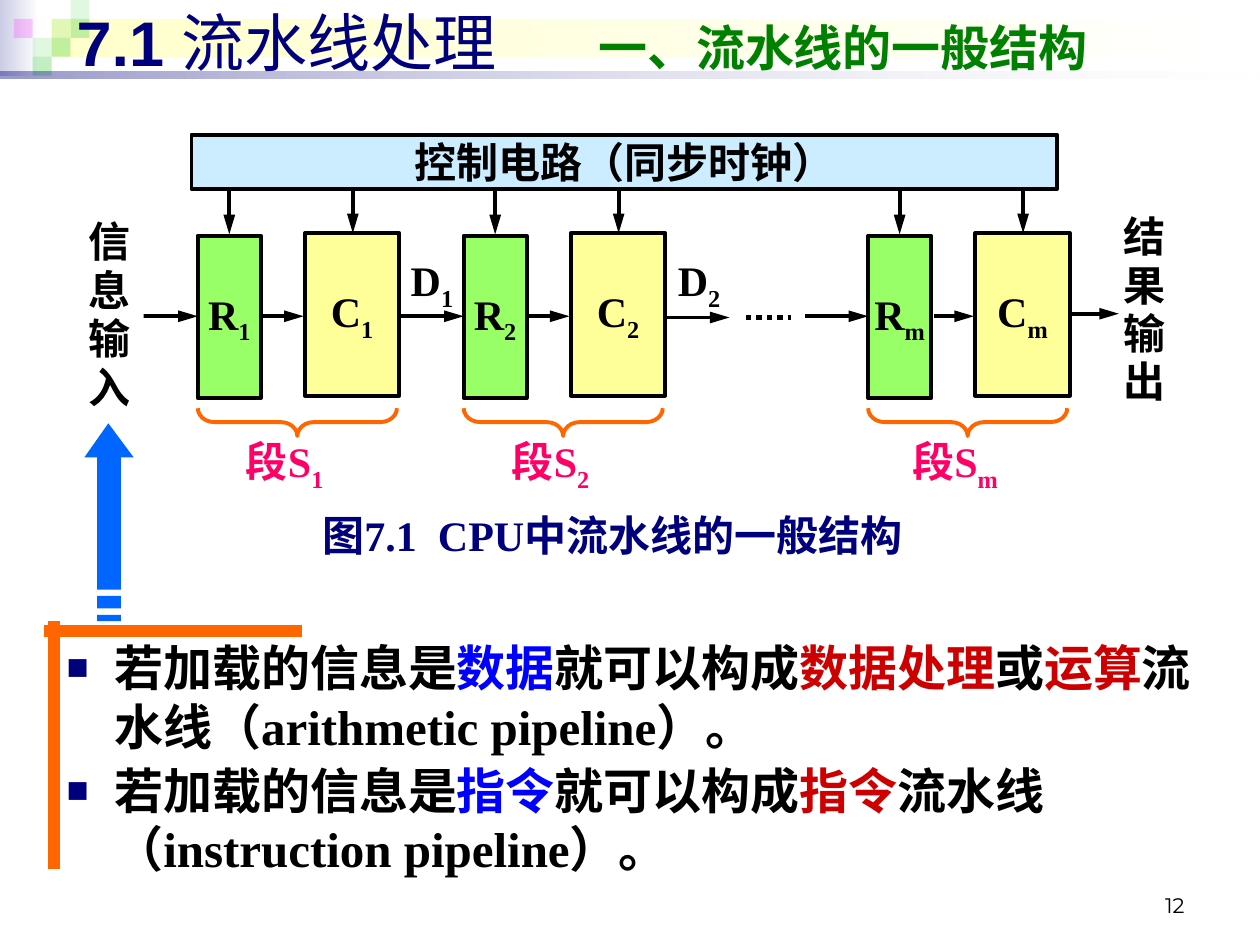
from lxml import etree
from pptx import Presentation
from pptx import util as u
from pptx.dml.color import RGBColor
from pptx.enum import dml, shapes, text
from pptx.oxml.ns import qn

WIDTH, HEIGHT = u.Inches(10), u.Inches(7.5)
COLUMNS, ROWS = 100, 75  # square grid cells

COLORS = {
    "black": "000000", "white": "FFFFFF", "navy": "00007D", "blue": "0000FF",
    "red": "CC0000", "pink": "FF0066", "orange": "FF6600", "topic": "008000",
    "register": "99FF66", "logic": "FFFF99", "control": "CCECFF",
    "arrow": "0066FF", "lilac": "CCCCE6", "cream": "FFFFCC",
    "leaf": "33CC33", "magenta": "FF00FF",
}
SERIF = "Times New Roman"
BOXED = dict.fromkeys(
    ("margin_left", "margin_top", "margin_right", "margin_bottom"), 0)
CENTER, JUSTIFY = text.PP_ALIGN.CENTER, text.PP_ALIGN.JUSTIFY
MIDDLE, TOP = text.MSO_ANCHOR.MIDDLE, text.MSO_ANCHOR.TOP


def col(count):
    return round(WIDTH * count / COLUMNS)


def row(count):
    return round(HEIGHT * count / ROWS)


def place(x, y, width, height):
    return col(x), row(y), col(width), row(height)


def color(name):
    return RGBColor.from_string(COLORS[name])


def apply(target, values):
    for name, value in values.items():
        setattr(target, name, value)


def add_xml(parent, tag, **attributes):
    return etree.SubElement(parent, qn(tag), attributes)


def set_alpha(shape, *percents):
    """Set the opacity of each colour of a shape's fill, in order."""
    nodes = shape._element.spPr.iter(qn("a:srgbClr"))
    for node, percent in zip(list(nodes), percents):
        add_xml(node, "a:alpha", val=str(percent * 1000))


def add_runs(paragraph, runs, size, font=SERIF, bold=True):
    """Each run is (text, colour) plus an optional dict of font values."""
    for words, name, *extra in runs:
        run = paragraph.add_run()
        run.text = words
        run.font.color.rgb = color(name)
        values = {"size": u.Pt(size), "name": font, "bold": bold}
        apply(run.font, {**values, **(extra[0] if extra else {})})


def add_shape(slide, box, fill=None, line=None,
              kind=shapes.MSO_SHAPE.RECTANGLE):
    shape = slide.shapes.add_shape(kind, *place(*box))
    shape.shadow.inherit = False
    if fill:
        shape.fill.solid()
        shape.fill.fore_color.rgb = color(fill)
    else:
        shape.fill.background()
    if line:
        shape.line.color.rgb = color(line)
        shape.line.width = u.Pt(2.25)
    else:
        shape.line.fill.background()
    return shape


def add_panel(slide, box, words, index="", name="black", fill="white", line=None,
              align=CENTER, anchor=TOP, wrap=True, spacing=1.0):
    """Box with a label and an optional subscript index."""
    frame = add_shape(slide, box, fill, line).text_frame
    apply(frame, {**BOXED, "word_wrap": wrap, "vertical_anchor": anchor})
    paragraph = frame.paragraphs[0]
    apply(paragraph, {"alignment": align, "line_spacing": spacing})
    add_runs(paragraph, [(words, name)], 24)
    if index:
        add_runs(paragraph, [(index, name)], 24)
        paragraph.runs[-1]._r.get_or_add_rPr().set("baseline", "-25000")


def add_text_box(slide, box, anchor):
    frame = slide.shapes.add_textbox(*place(*box)).text_frame
    apply(frame, {"word_wrap": True, "vertical_anchor": anchor})
    return frame


def add_gradient(slide, box, start):
    shape = add_shape(slide, box, "white")
    shape.fill.gradient()
    shape.fill.gradient_angle = 0
    for stop, name in zip(shape.fill.gradient_stops, (start, "white")):
        stop.color.rgb = color(name)
    return shape


def add_line(slide, x1, y1, x2, y2, name="black", weight=2.25, head=True, dash=None):
    line = slide.shapes.add_connector(
        shapes.MSO_CONNECTOR.STRAIGHT, col(x1), row(y1), col(x2), row(y2))
    line.line.color.rgb = color(name)
    line.line.width = u.Pt(weight)
    if dash:
        line.line.dash_style = dash
    properties = line._element.spPr
    if head:
        add_xml(properties.find(qn("a:ln")), "a:tailEnd",
                type="triangle", w="med", len="lg")
    add_xml(properties, "a:effectLst")


def add_banner(slide):
    add_gradient(slide, (0, 0, 3.1, 6), "lilac")
    add_gradient(slide, (4.1, 1.5, 95.5, 3), "cream")
    tiles = [(2, 1, "leaf", 15), (3, 0, "leaf", 15), (3, 1, "leaf", 30),
             (1, 2, "leaf", 15), (0, 1, "magenta", 20), (2, 2, "leaf", 30),
             (1, 3, "leaf", 30)]
    side = 1.5
    for across, down, name, alpha in tiles:
        tile = add_shape(slide, (1.1 + across * side, down * side, side, side), name)
        set_alpha(tile, alpha)
    set_alpha(add_gradient(slide, (0, 5.7, 100, 0.5), "navy"), 40, 10)


def add_title(slide):
    paragraph = add_text_box(slide, (5.1, -0.3, 93.7, 7.1), MIDDLE).paragraphs[0]
    add_runs(paragraph, [
        ("7.1 ", "navy"), ("流水线处理\t", "navy", {"bold": False}),
        ("一、流水线的一般结构", "topic", {"size": u.Pt(28)})], 36, "Arial")
    tabs = add_xml(paragraph._p.get_or_add_pPr(), "a:tabLst")
    add_xml(tabs, "a:tab", pos=str(col(41.4)), algn="l")


def add_bullets(slide, items):
    frame = add_text_box(slide, (4.3, 50.1, 93.8, 20.5), TOP)
    for number, runs in enumerate(items):
        paragraph = frame.add_paragraph() if number else frame.paragraphs[0]
        paragraph.space_before = u.Pt(2.8)
        add_runs(paragraph, runs, 28)
        properties = paragraph._p.get_or_add_pPr()
        properties.set("marL", str(col(3.8)))
        properties.set("indent", str(-col(3.8)))
        add_xml(add_xml(properties, "a:buClr"), "a:srgbClr", val=COLORS["navy"])
        add_xml(properties, "a:buSzPct", val="75000")
        add_xml(properties, "a:buFont", typeface="Arial")
        add_xml(properties, "a:buChar", char="■")


def add_stage(slide, x, index):
    """Register, logic block, brace and arrows of one pipeline segment."""
    add_panel(slide, (x, 18.7, 5, 12.9), "R", index, fill="register",
              line="black", anchor=MIDDLE)
    add_panel(slide, (x + 8.5, 18.5, 7.5, 12.9), "C", index, fill="logic",
              line="black", anchor=MIDDLE)
    add_panel(slide, (x + 4.3, 34.6, 5.2, 3.6), "段S", index, "pink", wrap=False)
    brace = add_shape(slide, (x + 6.8, 25.6, 2.2, 15.8), line="orange",
                      kind=shapes.MSO_SHAPE.LEFT_BRACE)
    brace.rotation = 270
    brace.adjustments[0] = 0.6
    add_line(slide, x - 5, 25.1, x, 25.1)
    add_line(slide, x + 5.2, 25.1, x + 8.4, 25.1)
    add_line(slide, x + 2.5, 15, x + 2.5, 18.6)
    add_line(slide, x + 12.3, 15, x + 12.3, 18.5)


def add_striped_arrow(slide):
    head = [(6.7, 36.3), (7.7, 36.3), (7.7, 46.8), (9.6, 46.8), (9.6, 36.3),
            (10.6, 36.3), (8.6, 33.6)]
    stripes = [[(7.7, top), (9.6, top), (9.6, bottom), (7.7, bottom)]
               for top, bottom in ((47.3, 48.3), (48.8, 49.3))]
    builder = slide.shapes.build_freeform(col(head[0][0]), row(head[0][1]))
    for outline in (head, *stripes):
        points = [(col(x), row(y)) for x, y in outline]
        if outline is not head:
            builder.move_to(*points[0])
        builder.add_line_segments(points[1:], close=True)
    arrow = builder.convert_to_shape()
    arrow.shadow.inherit = False
    arrow.fill.solid()
    arrow.fill.fore_color.rgb = color("arrow")
    arrow.line.fill.background()


def main():
    presentation = Presentation()
    apply(presentation, {"slide_width": WIDTH, "slide_height": HEIGHT})
    slide = presentation.slides.add_slide(presentation.slide_layouts[6])

    # Banner, page number, title and bullet text
    add_banner(slide)
    number = add_text_box(slide, (71.7, 68.3, 23.3, 5), text.MSO_ANCHOR.BOTTOM)
    number.paragraphs[0].alignment = text.PP_ALIGN.RIGHT
    add_runs(number.paragraphs[0], [("12", "black")], 12, "Montserrat", False)
    add_title(slide)
    add_bullets(slide, [
        [("若加载的信息是", "black"), ("数据", "blue"), ("就可以构成", "black"),
         ("数据处理", "red"), ("或", "black"), ("运算", "red"),
         ("流水线（arithmetic pipeline）。", "black")],
        [("若加载的信息是", "black"), ("指令", "blue"), ("就可以构成", "black"),
         ("指令", "red"), ("流水线（instruction pipeline）。", "black")]])

    # Pipeline diagram
    for x, index in ((32.6, "1"), (53.8, "2")):
        add_panel(slide, (x, 20.2, 4, 4.2), "D", index, align=JUSTIFY)
    add_panel(slide, (15.2, 10.7, 68.7, 4.3), "控制电路（同步时钟）",
              fill="control", line="black", anchor=MIDDLE)
    for x, index in ((15.7, "1"), (36.8, "2"), (68.9, "m")):
        add_stage(slide, x, index)
    for box, words in (((88.3, 17, 5, 16.9), "结果输出"),
                       ((5.9, 17.4, 5.5, 16.9), "信息输入")):
        add_panel(slide, box, words, spacing=0.96)
    add_line(slide, 52.8, 25.2, 57.9, 25.2)
    add_line(slide, 59.2, 25.2, 62.8, 25.2, weight=3, head=False,
             dash=dml.MSO_LINE.ROUND_DOT)
    add_line(slide, 85, 24.9, 88.8, 24.9)
    add_panel(slide, (25.5, 40.7, 46.2, 3.8), "图7.1  CPU中流水线的一般结构",
              name="navy", spacing=0.96)

    # Pointer and corner rules around the conclusions
    add_striped_arrow(slide)
    add_line(slide, 3.5, 50.1, 24, 50.1, "orange", 7, head=False)
    add_line(slide, 4.3, 49.3, 4.3, 69, "orange", 7, head=False)
    presentation.save("out.pptx")


if __name__ == "__main__":
    main()
